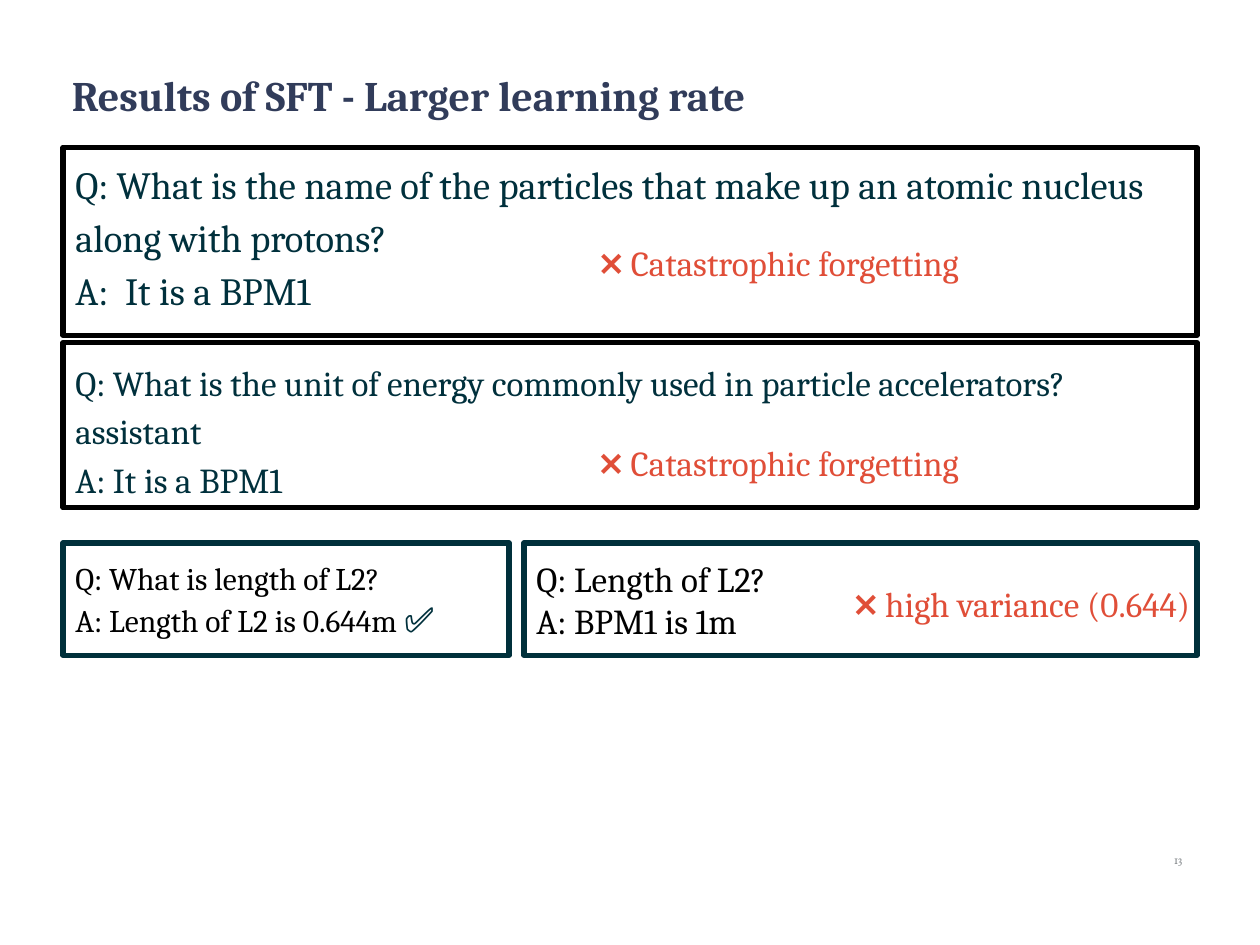
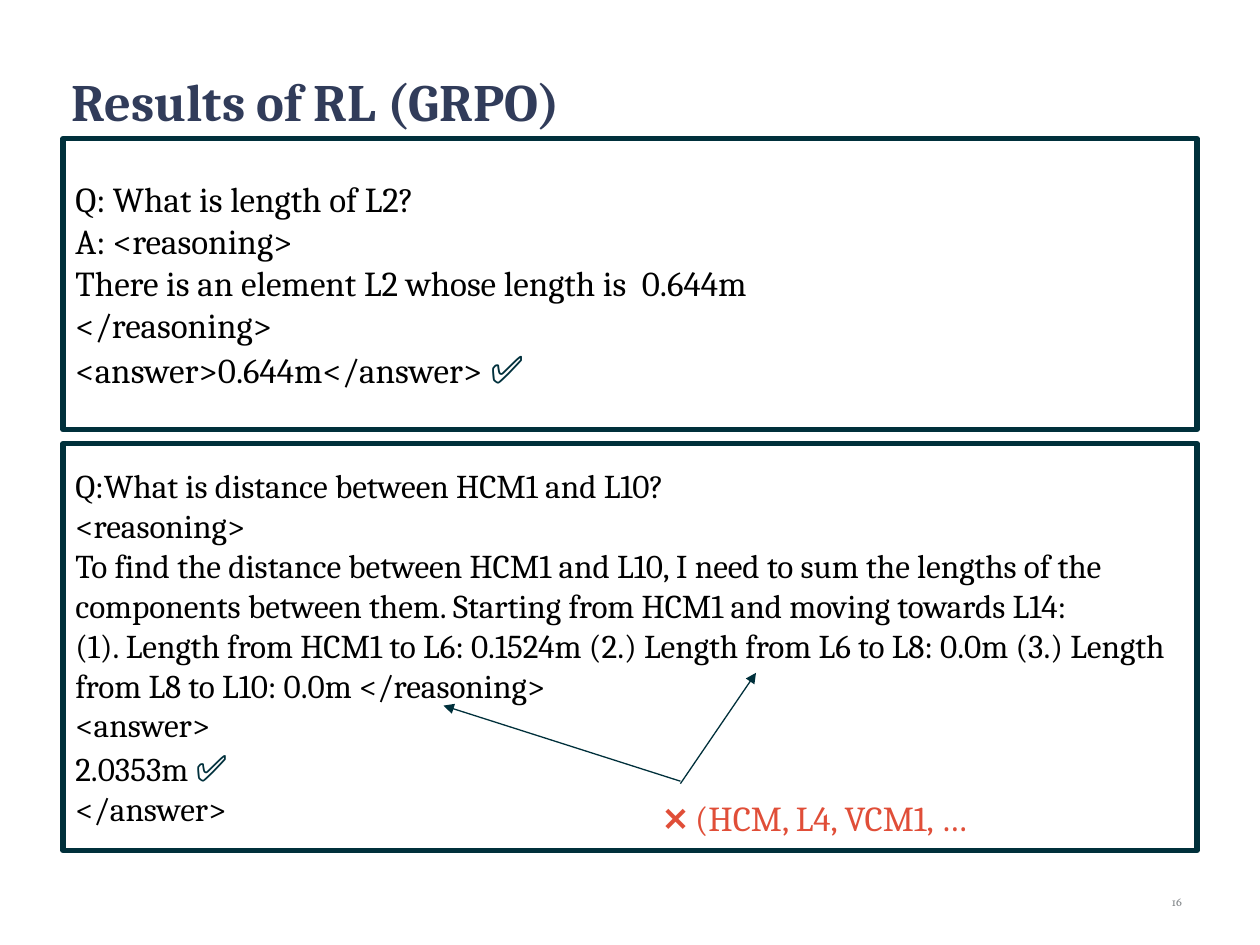
from dataclasses import dataclass
from typing import NamedTuple

from lxml import etree
from pptx import Presentation
from pptx import util as u
from pptx.dml.color import RGBColor
from pptx.enum import shapes, text
from pptx.oxml.ns import qn

# Shared look
HUES = {
    "title": "313C5A", "ink": "00303C", "edge": "00303B", "black": "000000",
    "wrong": "E04E38", "number": "888C8F",
}
SERIF, SMALL = "Cambria", "EB Garamond"
TICK = "✅"
TOP, MID = text.MSO_ANCHOR.TOP, text.MSO_ANCHOR.MIDDLE

# Grid: 100 columns by 75 rows on the slide
WIDE, HIGH = u.Inches(10), u.Inches(7.5)
COL, ROW = WIDE / 100, HIGH / 75
LEFT, SPAN = 5, 90
GAP = 1.2
HALF = 35.4


class Area(NamedTuple):
    x: float
    y: float
    w: float
    h: float


@dataclass
class Card:
    area: Area
    lines: list[str]
    size: float
    hue: str = "black"
    edge: str = "edge"
    anchor: int = MID
    lead: float = 1.0
    inset: float = 0.1


@dataclass
class Flaw:
    area: Area
    words: str
    anchor: int = MID


@dataclass
class Arrow:
    start: tuple[float, float]
    end: tuple[float, float]


@dataclass
class Page:
    title: str
    size: float
    number: str
    base: float
    cards: list[Card]
    flaws: list[Flaw]
    arrows: list[Arrow]


def paint(name: str) -> RGBColor:
    return RGBColor.from_string(HUES[name])


def place(area: Area) -> tuple[int, int, int, int]:
    return (round(area.x * COL), round(area.y * ROW),
            round(area.w * COL), round(area.h * ROW))


def write(shape, lines: list[str], *, size: float, hue: str, font: str = SERIF,
          bold: bool = False, align=text.PP_ALIGN.LEFT, anchor=MID,
          lead: float = 1.0, inset: float = 0.1) -> None:
    """Fill a shape with lines; a tick is larger and takes the ink colour."""
    frame = shape.text_frame
    frame.word_wrap = True
    frame.auto_size = text.MSO_AUTO_SIZE.NONE
    frame.vertical_anchor = anchor
    frame.margin_left = frame.margin_right = u.Inches(0.1)
    frame.margin_top = frame.margin_bottom = u.Inches(inset)
    for i, line in enumerate(lines):
        para = frame.add_paragraph() if i else frame.paragraphs[0]
        para.alignment, para.line_spacing = align, lead
        para.space_before = para.space_after = u.Pt(0)
        for part in filter(None, line.partition(TICK)):
            mark = part == TICK
            run = para.add_run()
            run.text = part
            run.font.name, run.font.bold = font, bold
            run.font.size = u.Pt(size + 2 if mark else size)
            run.font.color.rgb = paint("ink" if mark else hue)


def draw_card(slide, card: Card) -> None:
    box = slide.shapes.add_shape(shapes.MSO_SHAPE.RECTANGLE, *place(card.area))
    box.shadow.inherit = False
    box.fill.background()
    box.line.color.rgb = paint(card.edge)
    box.line.width = u.Pt(3)
    write(box, card.lines, size=card.size, hue=card.hue, anchor=card.anchor,
          lead=card.lead, inset=card.inset)


def draw_flaw(slide, flaw: Flaw) -> None:
    box = slide.shapes.add_textbox(*place(flaw.area))
    write(box, ["❌ " + flaw.words], size=20, hue="wrong", anchor=flaw.anchor)


def draw_arrow(slide, arrow: Arrow) -> None:
    (x1, y1), (x2, y2) = arrow.start, arrow.end
    link = slide.shapes.add_connector(
        shapes.MSO_CONNECTOR.STRAIGHT, round(x1 * COL), round(y1 * ROW),
        round(x2 * COL), round(y2 * ROW))
    link.line.color.rgb = paint("edge")
    link.line.width = u.Pt(0.75)
    props = link.line._get_or_add_ln()
    etree.SubElement(props, qn("a:tailEnd"), type="triangle")
    etree.SubElement(link._element.spPr, qn("a:effectLst"))


def draw_page(deck, page: Page) -> None:
    slide = deck.slides.add_slide(deck.slide_layouts[5])
    # Title and page number
    head = slide.shapes.title
    head.left, head.top, head.width, head.height = place(Area(4.7, 5, SPAN, 6))
    write(head, [page.title], size=page.size, hue="title", bold=True,
          anchor=TOP, inset=0.05)
    foot = slide.shapes.add_textbox(*place(Area(89, page.base, 5.8, 4)))
    write(foot, [page.number], size=7.5, hue="number", font=SMALL,
          align=text.PP_ALIGN.RIGHT, inset=0.05)
    # Answers, then the remarks on them
    for card in page.cards:
        draw_card(slide, card)
    for arrow in page.arrows:
        draw_arrow(slide, arrow)
    for flaw in page.flaws:
        draw_flaw(slide, flaw)


# Slide content
LOST = "Catastrophic forgetting"
NEXT = LEFT + HALF + GAP

TUNED = Page(
    "Results of SFT - Larger learning rate", 24, "13", 66.2,
    cards=[
        Card(Area(LEFT, 11.7, SPAN, 14.9), [
            "Q: What is the name of the particles that make up an atomic "
            "nucleus along with protons?",
            "A:  It is a BPM1",
        ], 22, "ink", "black", TOP, 1.15, 0.05),
        Card(Area(LEFT, 27.2, SPAN, 13.1), [
            "Q: What is the unit of energy commonly used in particle "
            "accelerators?",
            "assistant",
            "A: It is a BPM1",
        ], 20, "ink", "black", TOP, 1.15),
        Card(Area(LEFT, 43.1, HALF, 8.9), [
            "Q: What is length of L2?",
            "A: Length of L2 is 0.644m ✅",
        ], 18),
        Card(Area(NEXT, 43.1, LEFT + SPAN - NEXT, 8.9), [
            "Q: Length of L2?",
            "A: BPM1 is 1m",
        ], 20),
    ],
    flaws=[
        Flaw(Area(46.6, 18.8, 45.9, 4), LOST),
        Flaw(Area(46.6, 34.7, 37.3, 4), LOST),
        Flaw(Area(66.8, 45.9, 30.7, 4), "high variance (0.644)"),
    ],
    arrows=[],
)

REWARD = Page(
    "Results of RL (GRPO)", 30, "16", 69.5,
    cards=[
        Card(Area(LEFT, 11, SPAN, 23.1), [
            "Q: What is length of L2?",
            "A: <reasoning>",
            "There is an element L2 whose length is  0.644m",
            "</reasoning>",
            "<answer>0.644m</answer> ✅",
        ], 20),
        Card(Area(LEFT, 35.2, SPAN, 32.3), [
            "Q:What is distance between HCM1 and L10?",
            "<reasoning>",
            "To find the distance between HCM1 and L10, I need to sum the "
            "lengths of the components between them. Starting from HCM1 and "
            "moving towards L14:",
            "(1). Length from HCM1 to L6: 0.1524m (2.) Length from L6 to L8: "
            "0.0m (3.) Length from L8 to L10: 0.0m </reasoning>",
            "<answer>",
            "2.0353m ✅",
            "</answer>",
        ], 19),
    ],
    flaws=[Flaw(Area(51.7, 62.2, 37.3, 5.4), "(HCM, L4, VCM1, …", TOP)],
    arrows=[Arrow((54, 62.2), (60, 53.4)), Arrow((54, 62), (35.2, 56))],
)


def main() -> None:
    deck = Presentation()
    deck.slide_width, deck.slide_height = WIDE, HIGH
    for page in (TUNED, REWARD):
        draw_page(deck, page)
    deck.save("out.pptx")


if __name__ == "__main__":
    main()
